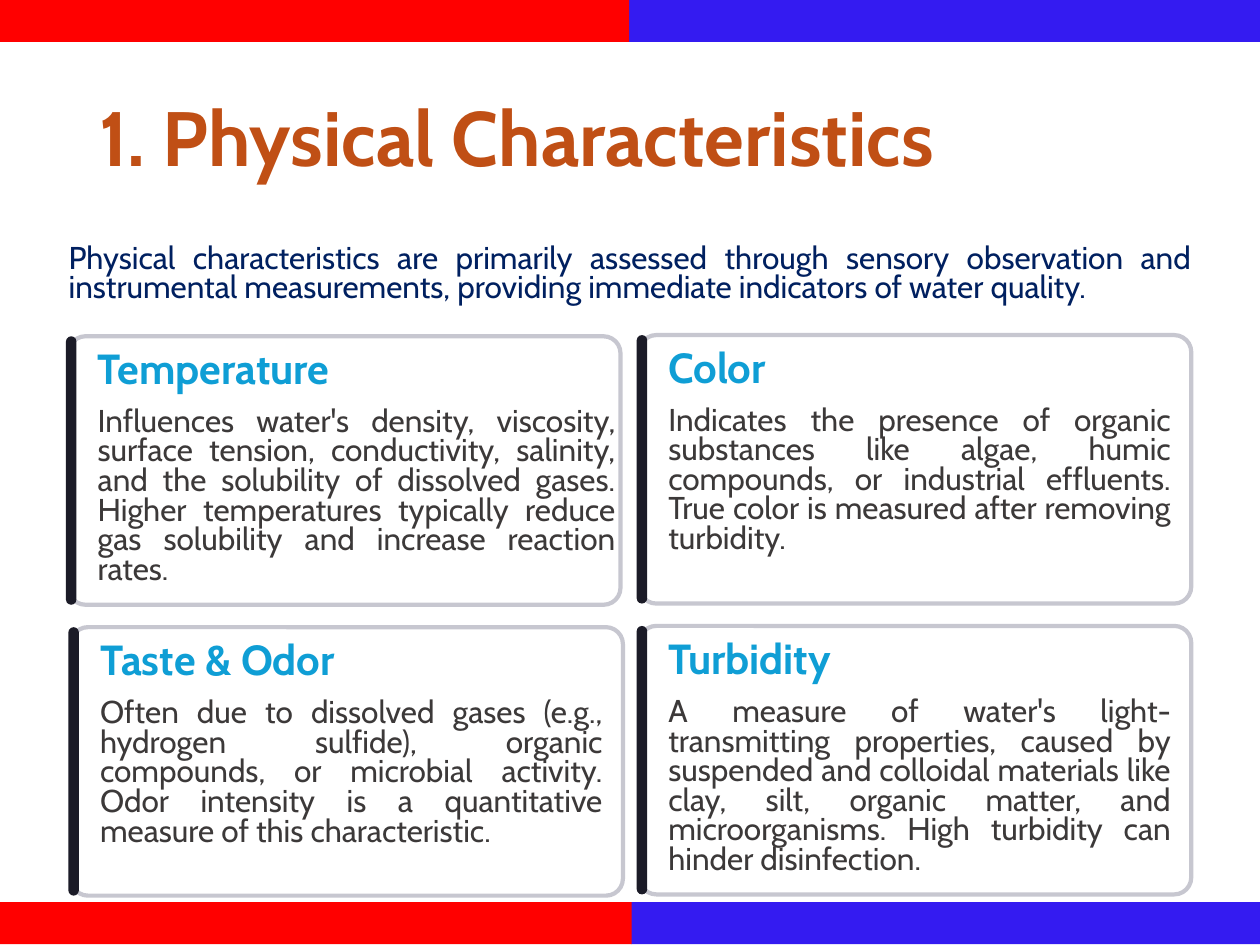
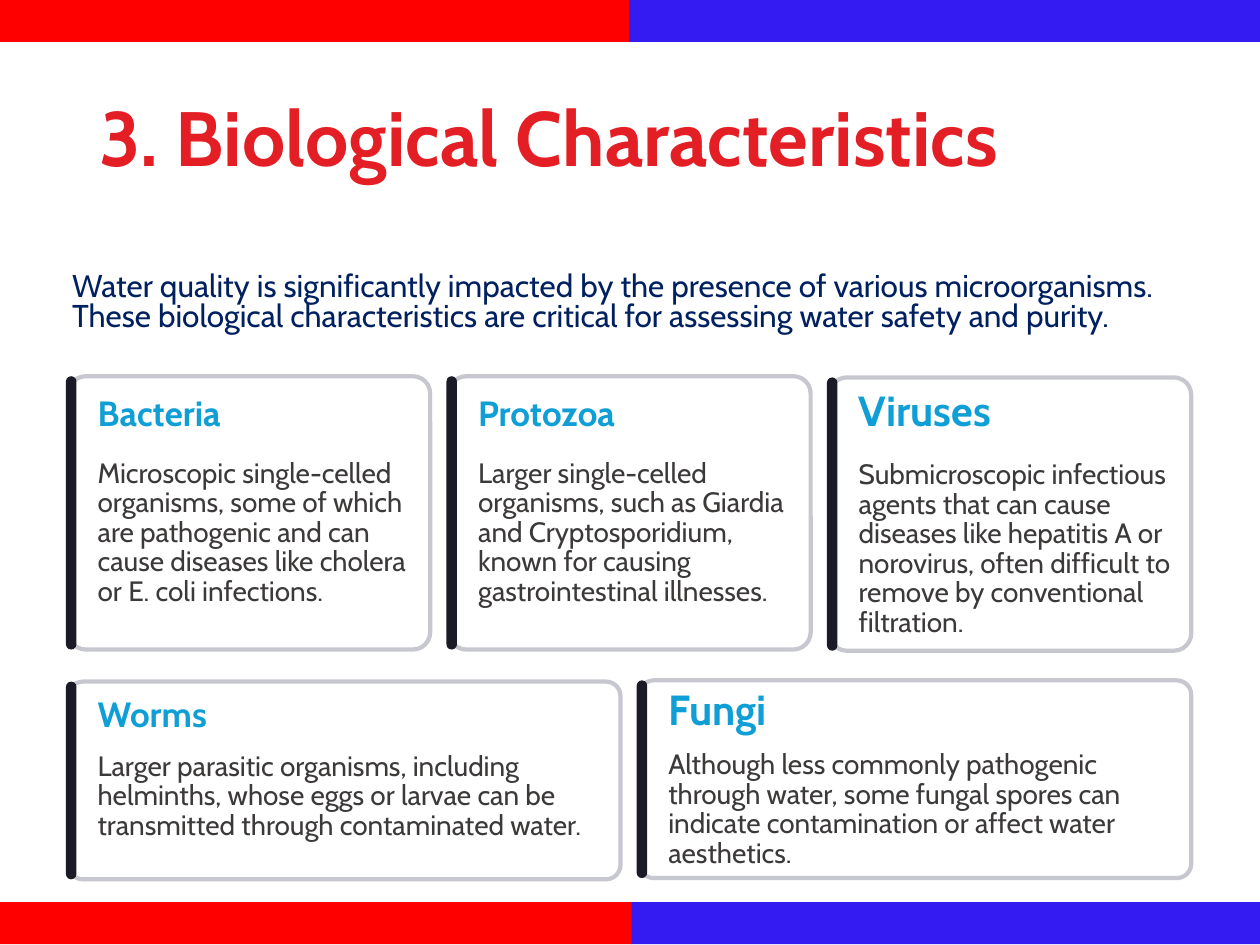
from dataclasses import dataclass

from pptx import Presentation
from pptx.dml.color import RGBColor
from pptx.enum.shapes import MSO_SHAPE as Shape
from pptx.enum.text import MSO_ANCHOR as Anchor, PP_ALIGN as Align
from pptx.util import Pt

RED = RGBColor(0xFF, 0x00, 0x00)
BLUE = RGBColor(0x34, 0x1B, 0xF1)
ORANGE = RGBColor(0xC0, 0x4F, 0x15)
CRIMSON = RGBColor(0xE3, 0x1E, 0x24)
NAVY = RGBColor(0x00, 0x20, 0x60)
SKY = RGBColor(0x0F, 0x9E, 0xD5)
GREY = RGBColor(0x3C, 0x39, 0x39)
FRAME_GREY = RGBColor(0xC7, 0xC7, 0xD0)
INK = RGBColor(0x1B, 0x1B, 0x27)

FONT = "Cabin"
SLIDE_WIDTH, SLIDE_HEIGHT = 720, 540
BAND_WIDTH, BAND_HEIGHT = 361, 24
LEFT, CONTENT_WIDTH, GAP = 39.2, 641.5, 10.8
TEXT_INDENT, TEXT_MARGIN = 16.6, 28.2


@dataclass
class Card:
    heading: str
    body: str
    heading_size: int = 24
    dx: float = 0
    dy: float = 0
    extra_width: float = 0


@dataclass
class Row:
    """Cards of equal width, with text offsets measured from the row's top."""
    top: float
    height: float
    heading_offset: float
    body_offset: float
    corner: float
    cards: list


def format_text(frame, text, size=18, color=GREY, bold=False,
                align=Align.LEFT, spacing=Pt(16.9)):
    frame.text = text
    paragraph = frame.paragraphs[0]
    paragraph.alignment = align
    paragraph.line_spacing = spacing
    font = paragraph.runs[0].font
    font.name, font.size, font.bold = FONT, Pt(size), bold
    font.color.rgb = color


def add_text(shapes, box, text, **text_format):
    frame = shapes.add_textbox(*map(Pt, box)).text_frame
    frame.margin_left = frame.margin_right = 0
    frame.margin_top = frame.margin_bottom = 0
    frame.word_wrap = True
    format_text(frame, text, **text_format)


def add_block(shapes, kind, box, fill=None, line=None, corner=None):
    block = shapes.add_shape(kind, *map(Pt, box))
    block.shadow.inherit = False
    if fill is None:
        block.fill.background()
    else:
        block.fill.solid()
        block.fill.fore_color.rgb = fill
    if line is None:
        block.line.fill.background()
    else:
        block.line.color.rgb = line
        block.line.width = Pt(2.4)
    if corner is not None:
        block.adjustments[0] = corner
    return block


def add_bands_to_layout(layout, slide):
    """Draw the bands on a slide, then hand them to the layout all slides share."""
    bottom = 515.5
    for left, top, color in ((359, 0, BLUE), (-1.5, 0, RED),
                             (360.5, bottom, BLUE), (0, bottom, RED)):
        band = add_block(slide.shapes, Shape.RECTANGLE,
                         (left, top, BAND_WIDTH, BAND_HEIGHT), fill=color)
        layout.shapes.element.append(band.element)


def set_title(slide, text, color):
    title = slide.shapes.title
    title.left, title.top, title.width, title.height = map(Pt, (49.5, 28.8, 621, 104.4))
    title.text_frame.vertical_anchor = Anchor.MIDDLE
    format_text(title.text_frame, text, size=44, color=color, bold=True, spacing=0.9)


def add_card(slide, card, row, left, width, **body_format):
    shapes = slide.shapes.add_group_shape().shapes
    left, top = left + card.dx, row.top + card.dy
    text_left, text_width = left + TEXT_INDENT, width - TEXT_MARGIN
    add_block(shapes, Shape.ROUNDED_RECTANGLE, (left, top, width, row.height),
              line=FRAME_GREY, corner=row.corner)
    add_block(shapes, Shape.ROUNDED_RECTANGLE, (left - 1.5, top, 6, row.height),
              fill=INK, corner=0.5)
    add_text(shapes, (text_left, top + row.heading_offset, text_width, 22), card.heading,
             size=card.heading_size, color=SKY, bold=True, spacing=Pt(16.6))
    add_text(shapes, (text_left, top + row.body_offset, text_width + card.extra_width,
                      row.height - row.body_offset - GAP),
             card.body, **body_format)


def add_rows(slide, rows, **body_format):
    for row in rows:
        count = len(row.cards)
        width = (CONTENT_WIDTH - GAP * (count - 1)) / count
        for column, card in enumerate(row.cards):
            add_card(slide, card, row, LEFT + column * (width + GAP), width, **body_format)


PHYSICAL_ROWS = [
    Row(192.2, 153.4, 16, 41.6, 0.063, [
        Card("Temperature",
             "Influences water's density, viscosity, surface tension, conductivity, "
             "salinity, and the solubility of dissolved gases. Higher temperatures "
             "typically reduce gas solubility and increase reaction rates.",
             extra_width=8.7),
        Card("Color",
             "Indicates the presence of organic substances like algae, humic compounds, "
             "or industrial effluents. True color is measured after removing turbidity.",
             dy=-0.7),
    ]),
    Row(358.4, 153.4, 16, 41.9, 0.063, [
        Card("Taste & Odor",
             "Often due to dissolved gases (e.g., hydrogen sulfide), organic compounds, "
             "or microbial activity. Odor intensity is a quantitative measure of this "
             "characteristic.", dx=1.4),
        Card("Turbidity",
             "A measure of water's light-transmitting properties, caused by suspended "
             "and colloidal materials like clay, silt, organic matter, and "
             "microorganisms. High turbidity can hinder disinfection.", dy=-0.7),
    ]),
]

BIOLOGICAL_ROWS = [
    Row(215, 156.2, 16, 47.5, 0.063, [
        Card("Bacteria",
             "Microscopic single-celled organisms, some of which are pathogenic and can "
             "cause diseases like cholera or E. coli infections.", heading_size=20),
        Card("Protozoa",
             "Larger single-celled organisms, such as Giardia and Cryptosporidium, known "
             "for causing gastrointestinal illnesses.", heading_size=20),
        Card("Viruses",
             "Submicroscopic infectious agents that can cause diseases like hepatitis A "
             "or norovirus, often difficult to remove by conventional filtration.", dy=0.7),
    ]),
    Row(389.5, 113, 13.9, 40.3, 0.073, [
        Card("Worms",
             "Larger parasitic organisms, including helminths, whose eggs or larvae can "
             "be transmitted through contaminated water.", heading_size=20),
        Card("Fungi",
             "Although less commonly pathogenic through water, some fungal spores can "
             "indicate contamination or affect water aesthetics.", dy=-0.7),
    ]),
]


def main():
    deck = Presentation()
    deck.slide_width, deck.slide_height = Pt(SLIDE_WIDTH), Pt(SLIDE_HEIGHT)
    title_only = deck.slide_layouts[5]

    physical = deck.slides.add_slide(title_only)
    add_bands_to_layout(title_only, physical)
    set_title(physical, "1. Physical Characteristics", ORANGE)
    add_text(physical.shapes, (LEFT, 140.6, CONTENT_WIDTH, 34),
             "Physical characteristics are primarily assessed through sensory observation "
             "and instrumental measurements, providing immediate indicators of water quality.",
             color=NAVY, align=Align.JUSTIFY)
    add_rows(physical, PHYSICAL_ROWS, align=Align.JUSTIFY)

    biological = deck.slides.add_slide(title_only)
    set_title(biological, "3. Biological Characteristics", CRIMSON)
    add_text(biological.shapes, (41.2, 156.8, CONTENT_WIDTH, 34),
             "Water quality is significantly impacted by the presence of various "
             "microorganisms. These biological characteristics are critical for assessing "
             "water safety and purity.", color=NAVY)
    add_rows(biological, BIOLOGICAL_ROWS, size=16)

    deck.save("out.pptx")


if __name__ == "__main__":
    main()
